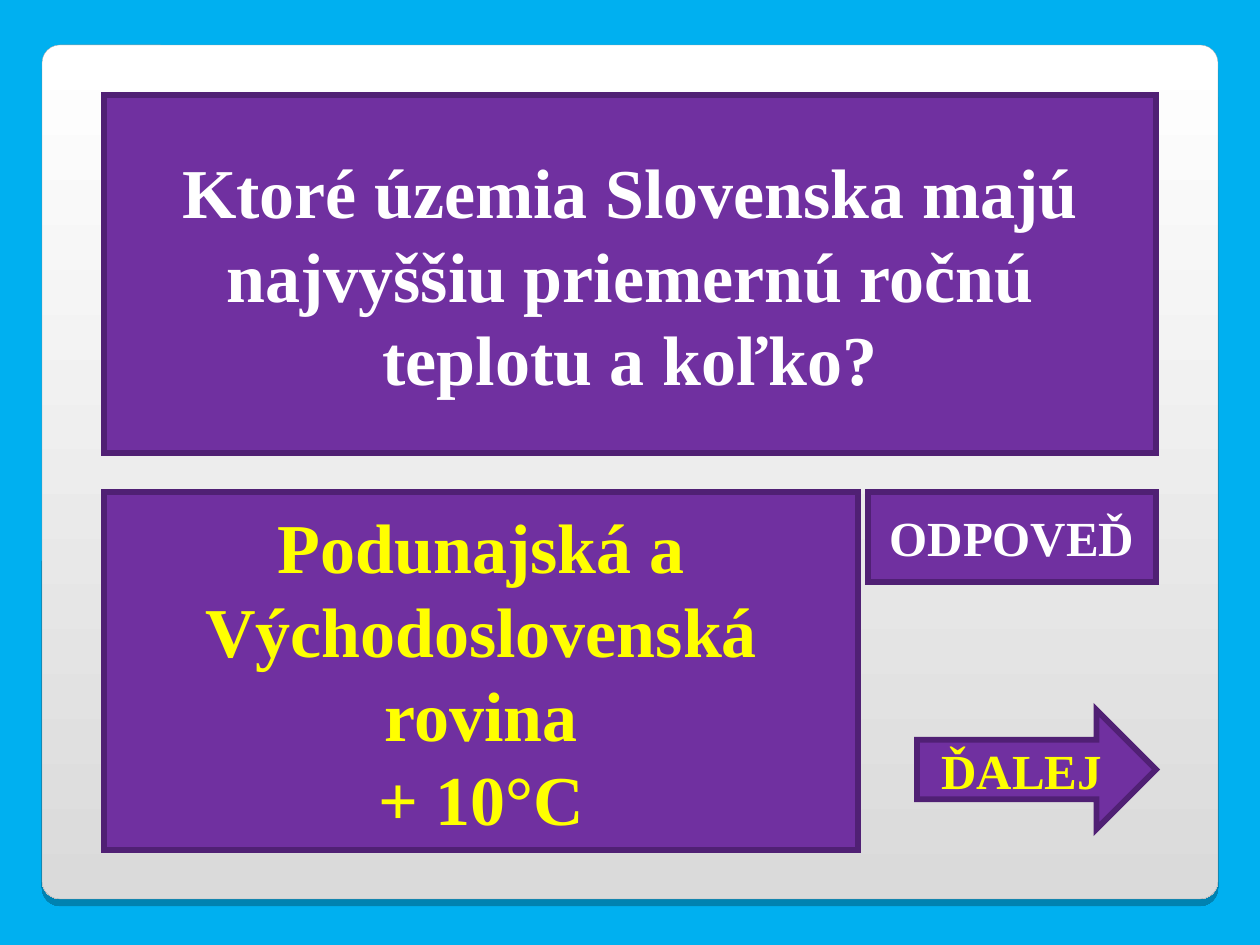
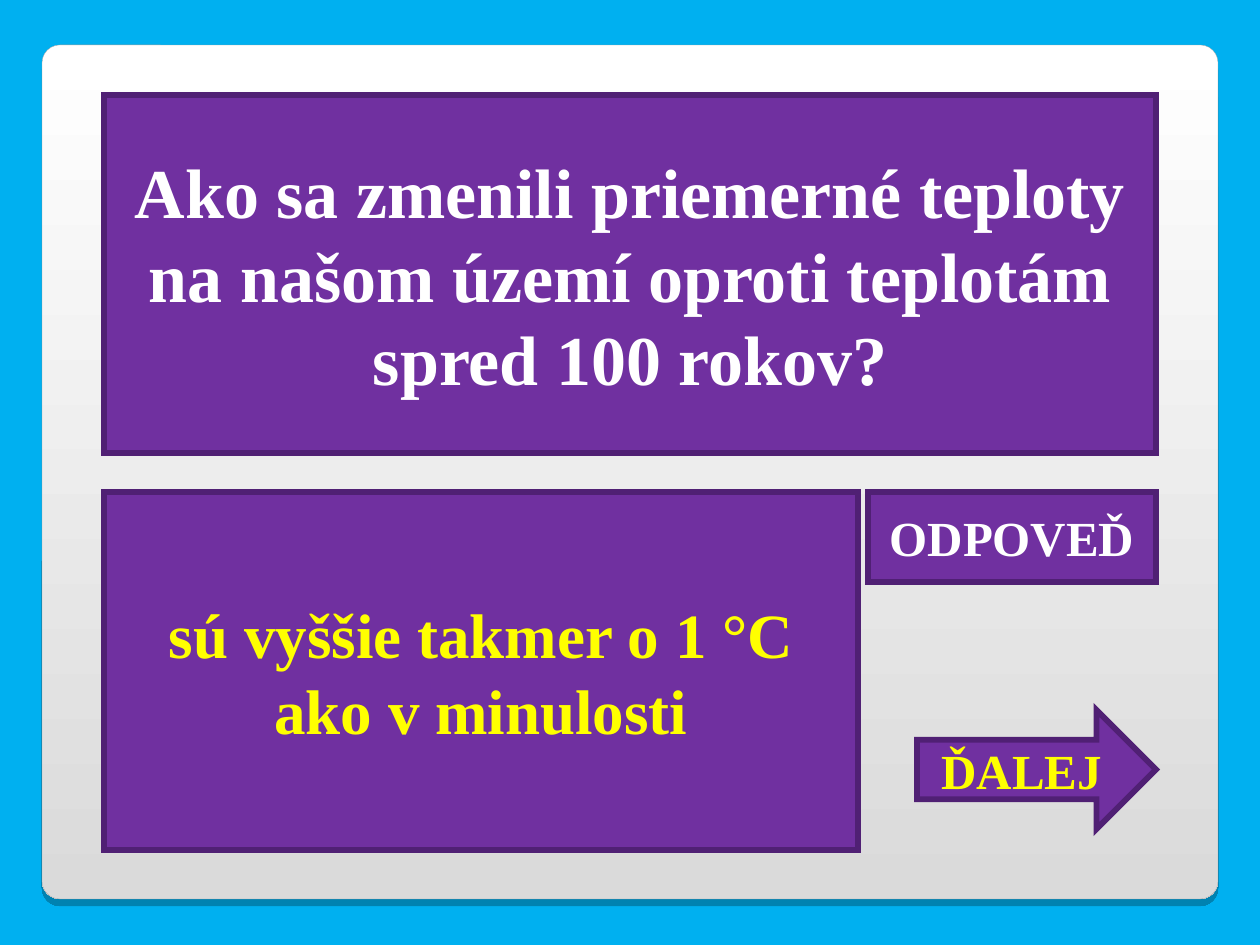
from dataclasses import dataclass

from lxml.etree import SubElement as Sub
from pptx import Presentation
from pptx.dml.color import RGBColor as Rgb
from pptx.enum.shapes import MSO_SHAPE as Kind
from pptx.enum.text import MSO_ANCHOR as Anchor, PP_ALIGN as Align
from pptx.oxml.ns import qn
from pptx.util import Emu, Pt

SCALE = 914400 / 126


@dataclass(frozen=True)
class Theme:
    back: str = "00B0F0"
    top: str = "FFFFFF"
    base: str = "DADADA"
    rim: str = "A4A3A3"
    shade: str = "000000"
    card: str = "7030A0"
    edge: str = "502074"
    ask: str = "FFFFFF"
    reply: str = "FFFF00"
    font: str = "Times New Roman"
    large: int = 40
    mid: int = 36
    small: int = 28
    thick: float = 3.34
    thin: float = 0.17


THEME = Theme()

ASK = (104, 95, 1052, 358)
REPLY = (104, 492, 754, 358)
BUTTON = (868, 492, 288, 90)
ARROW = (917, 710, 239, 119)
PANEL = (42, 45, 1176, 854)

CARDS = [
    ("Ktoré územia Slovenska majú najvyššiu priemernú ročnú teplotu a koľko?",
     ["Podunajská a Východoslovenská rovina", "+ 10°C"], THEME.large),
    ("Ako sa zmenili priemerné teploty na našom území oproti teplotám spred 100 rokov?",
     ["sú vyššie takmer o 1 °C ako v minulosti"], THEME.mid),
]


def px(num):
    return Emu(round(num * SCALE))


def add_form(slide, kind, box, edge, width):
    form = slide.shapes.add_shape(kind, *map(px, box))
    form.shadow.inherit = False
    form.line.color.rgb = Rgb.from_string(edge)
    form.line.width = Pt(width)
    return form


def add_panel(slide):
    panel = add_form(slide, Kind.ROUNDED_RECTANGLE, PANEL, THEME.rim, THEME.thin)
    panel.adjustments[0] = 0.021
    panel.fill.gradient()
    panel.fill.gradient_angle = 270
    for stop, tone in zip(panel.fill.gradient_stops, (THEME.top, THEME.base)):
        stop.color.rgb = Rgb.from_string(tone)
    glow = panel._element.spPr.find(qn("a:effectLst"))
    drop = Sub(glow, qn("a:outerShdw"), blurRad="0", dist=str(Pt(4)),
               dir="5400000", algn="t", rotWithShape="0")
    tone = Sub(drop, qn("a:srgbClr"), val=THEME.shade)
    Sub(tone, qn("a:alpha"), val="25000")


def add_card(slide, box, lines, size, color, kind=Kind.RECTANGLE):
    card = add_form(slide, kind, box, THEME.edge, THEME.thick)
    card.fill.solid()
    card.fill.fore_color.rgb = Rgb.from_string(THEME.card)
    Sub(card._element.spPr.find(qn("a:ln")), qn("a:miter"), lim="800000")
    frame = card.text_frame
    frame.word_wrap = True
    frame.vertical_anchor = Anchor.MIDDLE
    for pos, line in enumerate(lines):
        para = frame.add_paragraph() if pos else frame.paragraphs[0]
        para.alignment = Align.CENTER
        run = para.add_run()
        run.text = line
        run.font.name = THEME.font
        run.font.size = Pt(size)
        run.font.bold = True
        run.font.color.rgb = Rgb.from_string(color)


def add_quiz(deck, ask, reply, size):
    slide = deck.slides.add_slide(deck.slide_layouts[6])
    add_panel(slide)
    add_card(slide, ASK, [ask], THEME.large, THEME.ask)
    add_card(slide, REPLY, reply, size, THEME.reply)
    add_card(slide, BUTTON, ["ODPOVEĎ"], THEME.small, THEME.ask)
    add_card(slide, ARROW, ["ĎALEJ"], THEME.small, THEME.reply, Kind.RIGHT_ARROW)


def main():
    deck = Presentation()
    deck.slide_width, deck.slide_height = px(1260), px(945)
    back = deck.slide_master.background.fill
    back.solid()
    back.fore_color.rgb = Rgb.from_string(THEME.back)
    for card in CARDS:
        add_quiz(deck, *card)
    deck.save("out.pptx")


if __name__ == "__main__":
    main()
